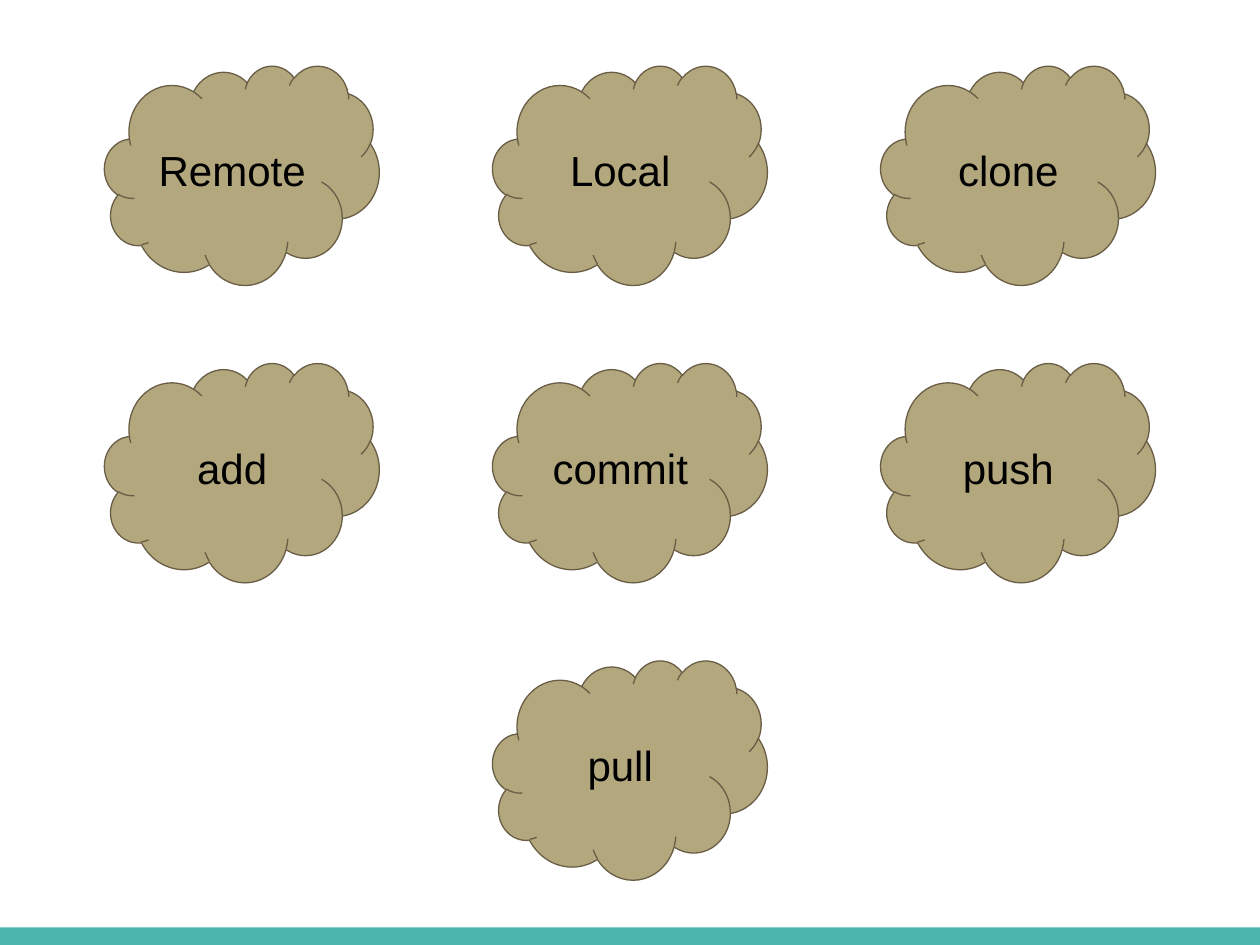
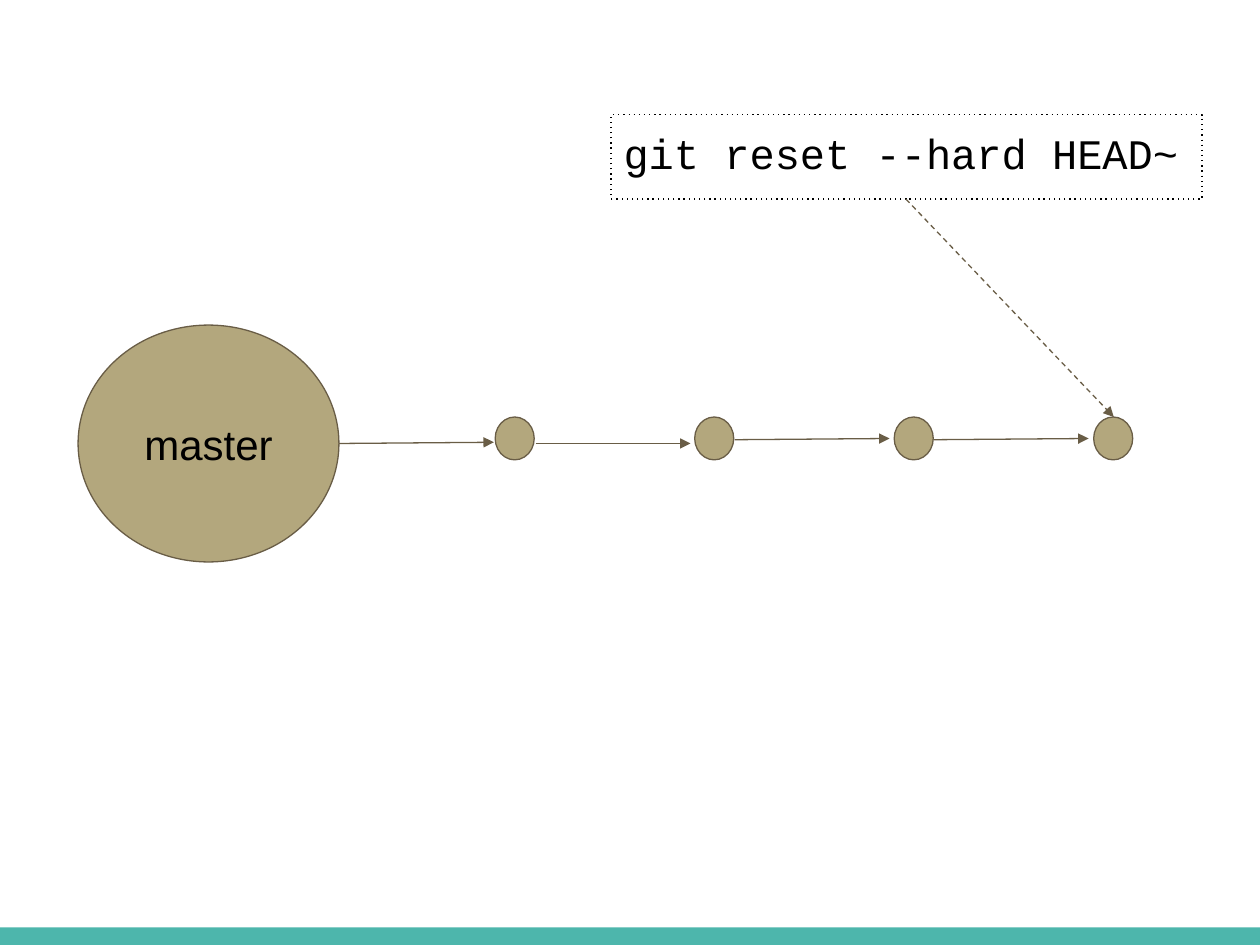
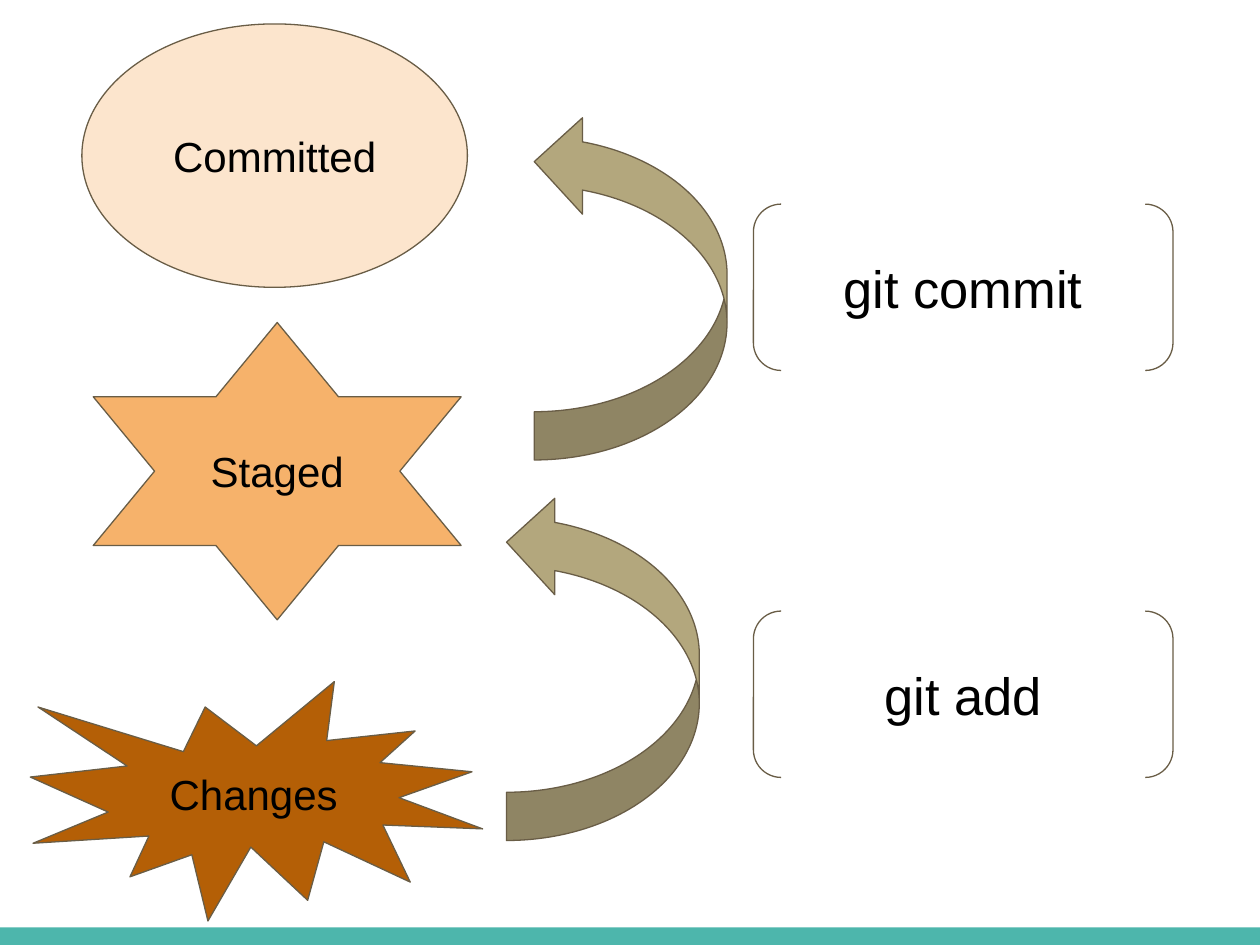
from lxml.etree import SubElement
from pptx import Presentation
from pptx.dml.color import RGBColor
from pptx.enum.dml import MSO_LINE
from pptx.enum.shapes import MSO_CONNECTOR, MSO_SHAPE as SHAPE
from pptx.enum.text import MSO_ANCHOR, PP_ALIGN
from pptx.oxml.ns import qn
from pptx.util import Inches, Pt

SAND, BROWN, TEAL, BLACK = "B3A77D", "695D46", "4DB6AC", "000000"
PEACH, ORANGE, RUST = "FCE5CD", "F6B26B", "B45F06"
WIDTH, HEIGHT = 10, 7.5
BAND_HEIGHT = 0.14


def rgb(hex_color):
    return RGBColor.from_string(hex_color)


def add_figure(slide, preset, box, label="", fill=SAND, line=BROWN, size=24, font="Arial"):
    """Add a preset shape with a centred label; fill or line None leaves it out."""
    figure = slide.shapes.add_shape(preset, *map(Inches, box))
    figure.shadow.inherit = False
    if fill:
        figure.fill.solid()
        figure.fill.fore_color.rgb = rgb(fill)
    else:
        figure.fill.background()
    if line:
        figure.line.color.rgb = rgb(line)
        figure.line.width = Pt(0.75)
    else:
        figure.line.fill.background()
    if label:
        frame = figure.text_frame
        frame.margin_left = frame.margin_right = Inches(0.1)
        frame.margin_top = frame.margin_bottom = Inches(0.1)
        frame.word_wrap = True
        frame.vertical_anchor = MSO_ANCHOR.MIDDLE
        frame.text = label
        frame.paragraphs[0].alignment = PP_ALIGN.CENTER
        text_font = frame.paragraphs[0].runs[0].font
        text_font.name, text_font.size = font, Pt(size)
        text_font.color.rgb = rgb(BLACK)
    return figure


prs = Presentation()
prs.slide_width, prs.slide_height = Inches(WIDTH), Inches(HEIGHT)
slides = [prs.slides.add_slide(prs.slide_layouts[6]) for _ in range(3)]
for slide in slides:
    add_figure(slide, SHAPE.RECTANGLE, (0, HEIGHT - BAND_HEIGHT, WIDTH, BAND_HEIGHT),
               fill=TEAL, line=None)
terms, history, stages = slides

# Git terms in a grid of clouds
term_rows = [["Remote", "Local", "clone"], ["add", "commit", "push"], ["", "pull", ""]]
for row, words in enumerate(term_rows):
    for column, word in enumerate(words):
        if word:
            add_figure(terms, SHAPE.CLOUD,
                       (0.83 + 3.08 * column, 0.52 + 2.36 * row, 2.18, 1.74), word)

# Commit history of the master branch
add_figure(history, SHAPE.OVAL, (0.62, 2.58, 2.07, 1.88), "master")
for commit in range(4):
    add_figure(history, SHAPE.OVAL, (3.93 + commit * 4.75 / 3, 3.31, 0.31, 0.34))

command = add_figure(history, SHAPE.RECTANGLE, (4.85, 0.91, 4.69, 0.67),
                     "git reset --hard HEAD~", fill=None, line=BLACK, font="Courier New")
command.text_frame.vertical_anchor = MSO_ANCHOR.TOP
command.text_frame.paragraphs[0].alignment = PP_ALIGN.LEFT
command.line.dash_style = MSO_LINE.DASH
command.line._ln.find(qn("a:prstDash")).set("val", "dot")

STEP = 1.23
arrows = [(x, y, x + STEP, end_y, None) for x, y, end_y in
          [(2.69, 3.52, 3.51), (4.25, 3.52, 3.52), (5.83, 3.49, 3.48), (7.41, 3.49, 3.48)]]
arrows.append((7.19, 1.58, 8.84, 3.31, MSO_LINE.DASH))
for *ends, dash in arrows:
    arrow = history.shapes.add_connector(MSO_CONNECTOR.STRAIGHT, *map(Inches, ends))
    arrow.line.color.rgb = rgb(BROWN)
    arrow.line.width = Pt(0.75)
    if dash:
        arrow.line.dash_style = dash
    properties = arrow._element.spPr
    SubElement(properties.find(qn("a:ln")), qn("a:tailEnd"), type="triangle", w="med", len="med")
    SubElement(properties, qn("a:effectLst"))

# From changes to commit
add_figure(stages, SHAPE.EXPLOSION1, (0.24, 5.41, 3.59, 1.9), "Changes", RUST)
add_figure(stages, SHAPE.STAR_6_POINT, (0.74, 2.56, 2.92, 2.36), "Staged", ORANGE)
add_figure(stages, SHAPE.OVAL, (0.65, 0.19, 3.06, 2.09), "Committed", PEACH)
for command_text, arrow_left, arrow_top, bracket_top in [
        ("git add", 4.02, 3.92, 4.85), ("git commit", 4.24, 0.9, 1.62)]:
    turn = add_figure(stages, SHAPE.CURVED_RIGHT_ARROW, (arrow_left, arrow_top, 1.53, 2.75))
    turn.rotation = 180
    for index, share in enumerate((0.25, 0.5, 0.25)):
        turn.adjustments[index] = share
    add_figure(stages, SHAPE.DOUBLE_BRACKET, (5.98, bracket_top, 3.33, 1.32),
               command_text, fill=None, size=30)

prs.save("out.pptx")
